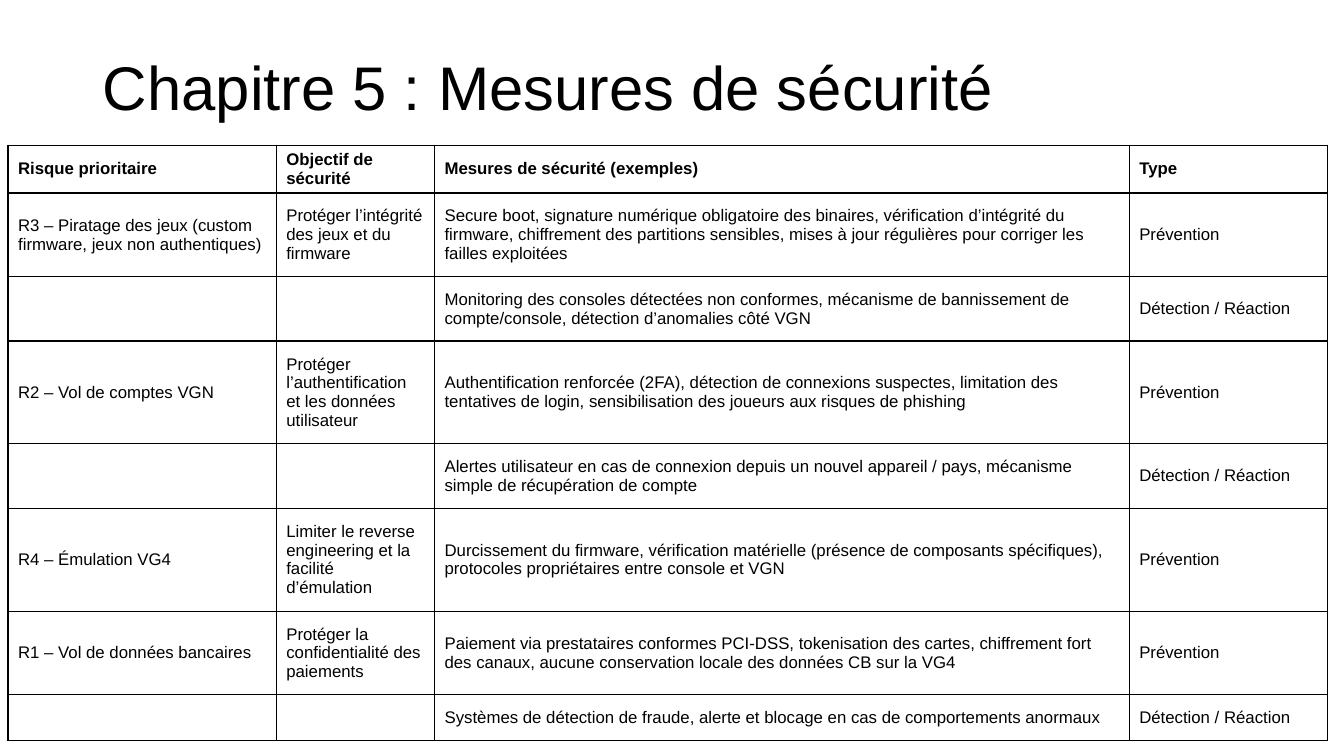
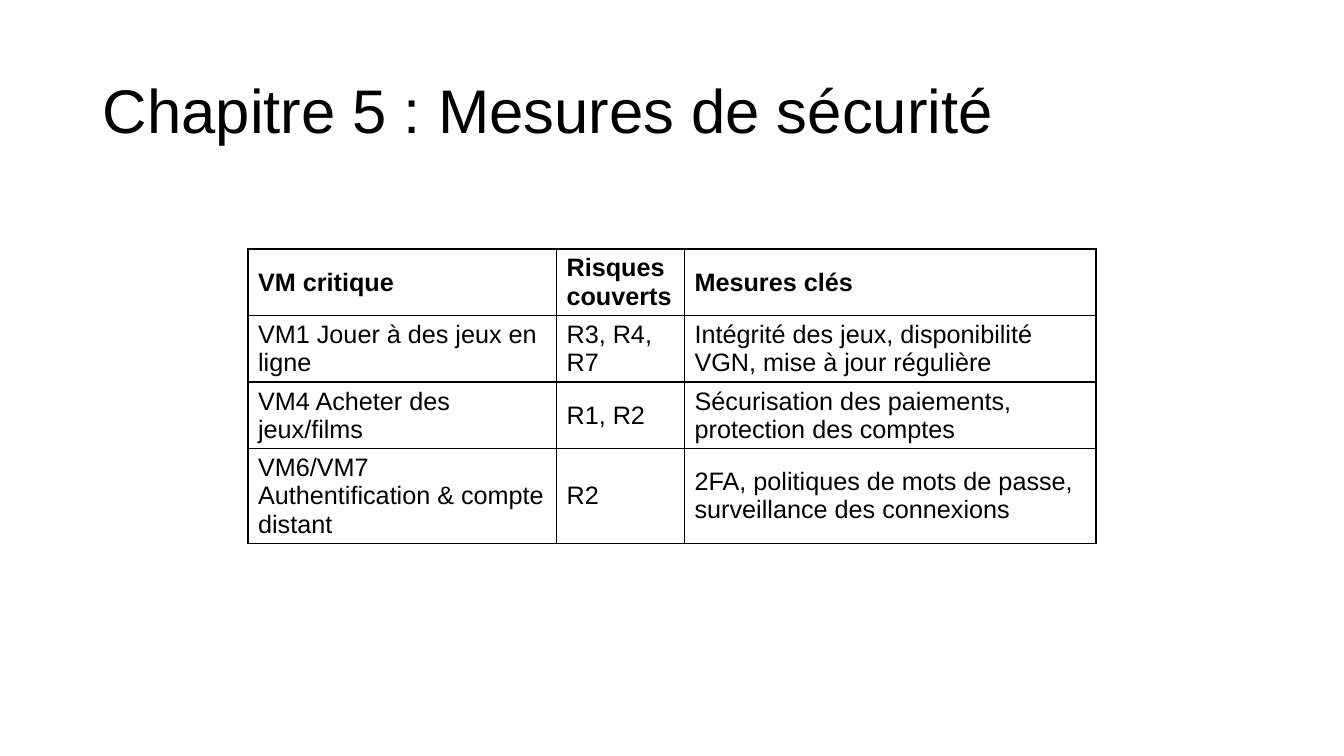
"""Build two slides of security measures, each a title over a table."""
from lxml.etree import SubElement
from pptx import Presentation
from pptx.dml.color import RGBColor
from pptx.enum.text import MSO_ANCHOR, MSO_AUTO_SIZE, PP_ALIGN
from pptx.oxml.ns import qn
from pptx.util import Inches, Pt

COLORS = {"ink": "000000", "paper": "FFFFFF"}
FONT = "Arial"
TITLE = "Chapitre 5 : Mesures de sécurité"
PREVENT, DETECT = "Prévention", "Détection / Réaction"

RISKS = [
    ("Risque prioritaire", "Objectif de sécurité", "Mesures de sécurité (exemples)", "Type"),
    ("R3 – Piratage des jeux (custom firmware, jeux non authentiques)",
     "Protéger l’intégrité des jeux et du firmware",
     "Secure boot, signature numérique obligatoire des binaires, vérification d’intégrité du "
     "firmware, chiffrement des partitions sensibles, mises à jour régulières pour corriger "
     "les failles exploitées", PREVENT),
    ("", "",
     "Monitoring des consoles détectées non conformes, mécanisme de bannissement de "
     "compte/console, détection d’anomalies côté VGN", DETECT),
    ("R2 – Vol de comptes VGN",
     "Protéger l’authentification et les données utilisateur",
     "Authentification renforcée (2FA), détection de connexions suspectes, limitation des "
     "tentatives de login, sensibilisation des joueurs aux risques de phishing", PREVENT),
    ("", "",
     "Alertes utilisateur en cas de connexion depuis un nouvel appareil / pays, mécanisme "
     "simple de récupération de compte", DETECT),
    ("R4 – Émulation VG4",
     "Limiter le reverse engineering et la facilité d’émulation",
     "Durcissement du firmware, vérification matérielle (présence de composants spécifiques), "
     "protocoles propriétaires entre console et VGN", PREVENT),
    ("R1 – Vol de données bancaires",
     "Protéger la confidentialité des paiements",
     "Paiement via prestataires conformes PCI-DSS, tokenisation des cartes, chiffrement fort "
     "des canaux, aucune conservation locale des données CB sur la VG4", PREVENT),
    ("", "",
     "Systèmes de détection de fraude, alerte et blocage en cas de comportements anormaux",
     DETECT),
]
RISK_LINES = [1, 3, 2, 4, 2, 4, 3, 1]

ASSETS = [
    ("VM critique", "Risques couverts", "Mesures clés"),
    ("VM1 Jouer à des jeux en ligne", "R3, R4, R7",
     "Intégrité des jeux, disponibilité VGN, mise à jour régulière"),
    ("VM4 Acheter des jeux/films", "R1, R2",
     "Sécurisation des paiements, protection des comptes"),
    ("VM6/VM7 Authentification & compte distant", "R2",
     "2FA, politiques de mots de passe, surveillance des connexions"),
]


def color(name):
    return RGBColor.from_string(COLORS[name])


def set_font(para, size, bold=False):
    font = para.font
    font.name, font.size, font.bold = FONT, Pt(size), bold
    font.color.rgb = color("ink")


def add_slide(deck, top):
    slide = deck.slides.add_slide(deck.slide_layouts[5])
    title = slide.shapes.title
    title.left, title.top = Inches(0.92), Inches(top)
    title.width, title.height = Inches(11.5), Inches(1.45)
    frame = title.text_frame
    frame.text = TITLE
    frame.auto_size = MSO_AUTO_SIZE.NONE
    frame.vertical_anchor = MSO_ANCHOR.MIDDLE
    para = frame.paragraphs[0]
    para.alignment, para.line_spacing = PP_ALIGN.LEFT, 0.9
    set_font(para, 44)
    return slide


def add_border(cell):
    props = cell._tc.get_or_add_tcPr()
    for side in ("a:lnL", "a:lnR", "a:lnT", "a:lnB"):
        line = SubElement(props, qn(side), w=str(Pt(1)))
        fill = SubElement(line, qn("a:solidFill"))
        SubElement(fill, qn("a:srgbClr"), val=COLORS["ink"])


def fill_cell(cell, text, size, bold):
    add_border(cell)
    cell.fill.solid()
    cell.fill.fore_color.rgb = color("paper")
    cell.vertical_anchor = MSO_ANCHOR.MIDDLE
    cell.text = text
    set_font(cell.text_frame.paragraphs[0], size, bold)


def add_grid(slide, left, top, widths, heights, data, size):
    frame = slide.shapes.add_table(
        len(data), len(widths), Inches(left), Inches(top),
        Inches(sum(widths)), Inches(sum(heights)))
    table = frame.table
    table.horz_banding = False
    for col, width in zip(table.columns, widths):
        col.width = Inches(width)
    for row, height in zip(table.rows, heights):
        row.height = Inches(height)
    for i, texts in enumerate(data):
        for j, text in enumerate(texts):
            fill_cell(table.cell(i, j), text, size, i == 0)


def main():
    deck = Presentation()
    deck.slide_width, deck.slide_height = Inches(13.33), Inches(7.5)
    heights = [0.26 + 0.19 * count for count in RISK_LINES]
    add_grid(add_slide(deck, 0.17), 0.08, 1.44,
             [2.66, 1.57, 6.89, 1.97], heights, RISKS, 12)
    add_grid(add_slide(deck, 0.4), 2.46, 2.47,
             [3.06, 1.27, 4.08], [0.66] * len(ASSETS), ASSETS, 18)
    deck.save("out.pptx")


if __name__ == "__main__":
    main()
